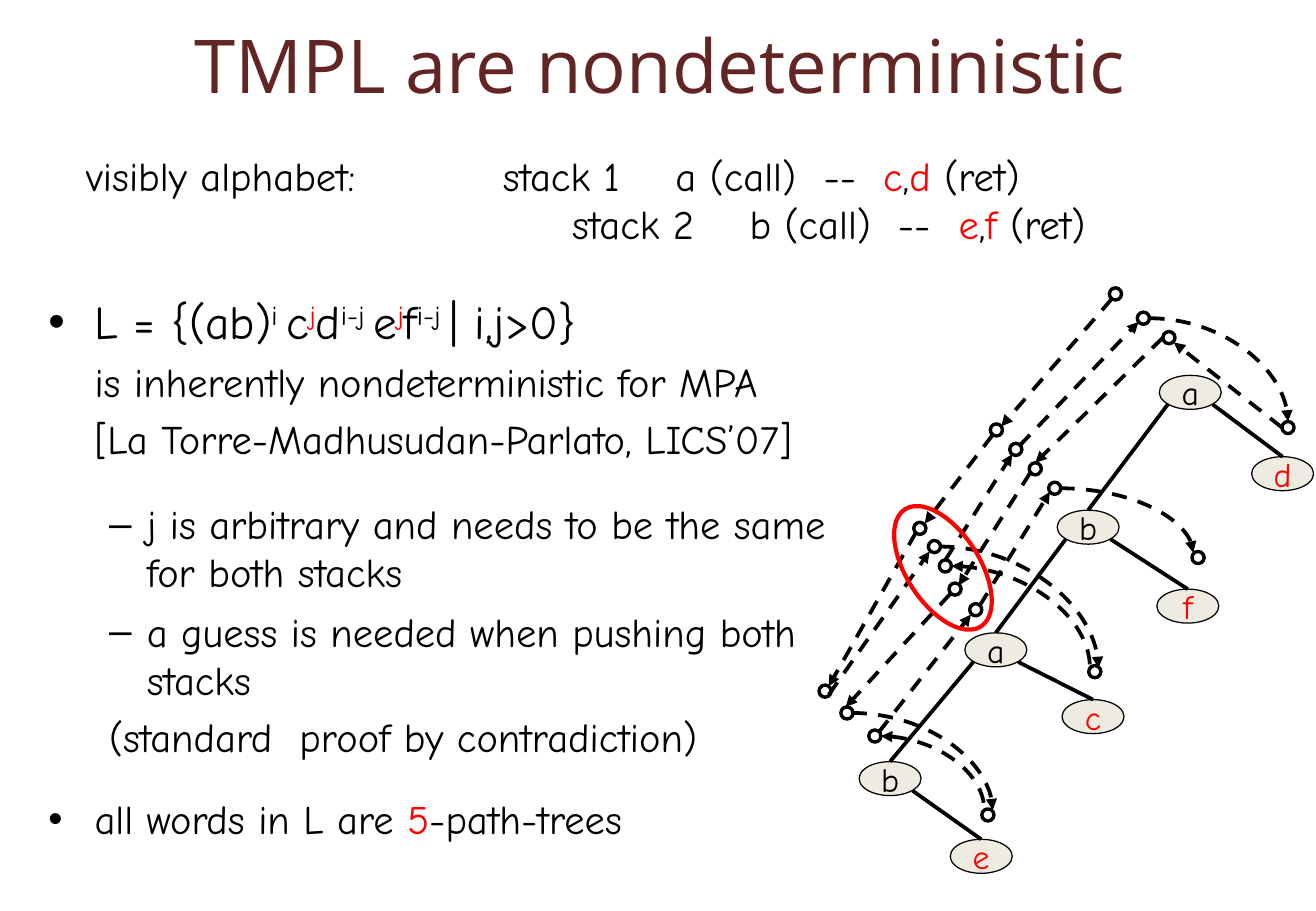
from lxml import etree
from pptx import Presentation
from pptx.dml.color import RGBColor
from pptx.enum.dml import MSO_LINE
from pptx.enum.shapes import MSO_CONNECTOR, MSO_SHAPE
from pptx.enum.text import MSO_ANCHOR, PP_ALIGN
from pptx.oxml.ns import qn
from pptx.util import Inches, Pt

STRAIGHT, CURVE = MSO_CONNECTOR.STRAIGHT, MSO_CONNECTOR.CURVE
OVAL, NODE = MSO_SHAPE.OVAL, MSO_SHAPE.FLOWCHART_CONNECTOR
DASH = MSO_LINE.DASH
CENTER, MIDDLE = PP_ALIGN.CENTER, MSO_ANCHOR.MIDDLE
COLORS = {"title": "632523", "ink": "000000", "red": "FF0000",
          "node": "EEECE1", "white": "FFFFFF"}


def add_run(paragraph, text, size=24, color="ink", font="Comic Neue", raised=False):
    run = paragraph.add_run()
    run.text = text
    run.font.size = Pt(size)
    run.font.name = font
    run.font.color.rgb = RGBColor.from_string(COLORS[color])
    if raised:
        run._r.get_or_add_rPr().set("baseline", "30000")


def add_line(start, end, kind=STRAIGHT, dashed=False, arrow=None):
    line = slide.shapes.add_connector(kind, *map(Inches, start + end))
    line.line.width = Pt(2.25)
    line.line.color.rgb = RGBColor.from_string(COLORS["ink"])
    if dashed:
        line.line.dash_style = DASH
    if arrow:
        etree.SubElement(line.line._get_or_add_ln(), qn(f"a:{arrow}"), type="triangle")
    if kind == CURVE:
        # a quarter bend that leaves level and arrives upright
        line._element.spPr.find(qn("a:prstGeom")).set("prst", "curvedConnector2")
    etree.SubElement(line._element.spPr, qn("a:effectLst"))


prs = Presentation()
prs.slide_width, prs.slide_height = Inches(10.83), Inches(7.5)
slide = prs.slides.add_slide(prs.slide_layouts[6])

# Title
title = slide.shapes.add_textbox(*map(Inches, (0.56, 0.06, 9.75, 0.93))).text_frame
title.word_wrap = True
title.vertical_anchor = MIDDLE
title.paragraphs[0].alignment = CENTER
add_run(title.paragraphs[0], "TMPL are nondeterministic", size=44, color="title",
        font="Open Sans")

# Claims: runs are (text, colour, raised); bullet, margin, indent, space before, size
claims = [
    ([("L = {(ab)", "ink", False), ("i ", "ink", True), ("c", "ink", False),
      ("j", "red", True), ("d", "ink", False), ("i-j ", "ink", True),
      ("e", "ink", False), ("j", "red", True), ("f", "ink", False),
      ("i-j ", "ink", True), ("| i,j>0}", "ink", False)], "•", 0.38, -0.38, 0, 28),
    ([("is inherently nondeterministic for MPA", "ink", False)], None, 0.38, 0, 4.8, 24),
    ([("[La Torre-Madhusudan-Parlato, LICS’07]", "ink", False)], None, 0.38, 0, 4.8, 24),
    ([("j is arbitrary and needs to be the same for both stacks", "ink", False)],
     "–", 0.81, -0.31, 21.5, 24),
    ([("a guess is needed when pushing both stacks", "ink", False)],
     "–", 0.81, -0.31, 6.2, 24),
    ([("(standard  proof by contradiction)", "ink", False)], None, 0.5, 0, 4.8, 24),
    ([("all words in L are ", "ink", False), ("5", "red", False),
      ("-path-trees", "ink", False)], "•", 0.38, -0.38, 19.8, 24),
]
body = slide.shapes.add_textbox(*map(Inches, (0.3, 2.36, 6.93, 4.7))).text_frame
body.word_wrap = True
for number, (runs, bullet, margin, indent, before, size) in enumerate(claims):
    claim = body.add_paragraph() if number else body.paragraphs[0]
    claim.space_before = Pt(before)
    props = claim._p.get_or_add_pPr()
    props.set("marL", str(Inches(margin)))
    props.set("indent", str(Inches(indent)))
    if bullet:
        etree.SubElement(props, qn("a:buFont"), typeface="Arial")
        etree.SubElement(props, qn("a:buChar"), char=bullet)
    for text, color, raised in runs:
        add_run(claim, text, size=size, color=color, raised=raised)

# Visibly alphabet, one row per stack
stacks = [("visibly alphabet:\tstack 1\ta (call)\t--\t", "c", "d", (3.43, 4.85, 6.07, 6.56)),
          ("\tstack 2\tb (call)\t--\t", "e", "f", (4.0, 5.46, 6.68, 7.18))]
alphabet = slide.shapes.add_textbox(*map(Inches, (0.61, 1.19, 8.49, 0.91))).text_frame
alphabet.word_wrap = True
for number, (call, first, second, stops) in enumerate(stacks):
    row = alphabet.add_paragraph() if number else alphabet.paragraphs[0]
    tabs = etree.SubElement(row._p.get_or_add_pPr(), qn("a:tabLst"))
    for stop in stops:
        etree.SubElement(tabs, qn("a:tab"), pos=str(Inches(stop)), algn="l")
    for text, color in [(call, "ink"), (first, "red"), (",", "ink"),
                        (second, "red"), (" (ret)", "ink")]:
        add_run(row, text, color=color)

# Tree: each call has its return as right child and the next call as left child
calls = [("a", 9.54, 3.09), ("b", 8.7, 4.2), ("a", 7.94, 5.21), ("b", 7.07, 6.27)]
returns = [("d", 10.3, 3.76), ("f", 9.52, 4.85), ("c", 8.74, 5.76), ("e", 7.82, 6.91)]
NODE_W, NODE_H = 0.51, 0.28
for color, nodes in (("ink", calls), ("red", returns)):
    for letter, x, y in nodes:
        node = slide.shapes.add_shape(NODE, *map(Inches, (x, y, NODE_W, NODE_H)))
        node.shadow.inherit = False
        node.fill.solid()
        node.fill.fore_color.rgb = RGBColor.from_string(COLORS["node"])
        node.line.color.rgb = RGBColor.from_string(COLORS["ink"])
        node.line.width = Pt(0.75)
        node.text_frame.word_wrap = False
        node.text_frame.vertical_anchor = MIDDLE
        node.text_frame.paragraphs[0].alignment = CENTER
        add_run(node.text_frame.paragraphs[0], letter, size=20, color=color)

for offset, parents, children in ((0.07, calls, calls[1:]), (0.44, calls, returns)):
    for (_, px, py), (_, cx, cy) in zip(parents, children):
        add_line((px + offset, py + 0.24), (cx + NODE_W / 2, cy))

# Stops of the path through the tree
stops = [(9.13, 2.37), (9.36, 2.57), (9.57, 2.73), (10.55, 3.47), (8.15, 3.49),
         (8.31, 3.65), (8.47, 3.81), (8.63, 3.97), (7.52, 4.3), (7.64, 4.45),
         (7.73, 4.61), (7.81, 4.8), (7.98, 4.97), (9.81, 4.54), (8.96, 5.48),
         (6.74, 5.64), (6.92, 5.82), (7.15, 6.01), (8.08, 6.66)]
for x, y in stops:
    stop = slide.shapes.add_shape(OVAL, *map(Inches, (x, y, 0.1, 0.1)))
    stop.shadow.inherit = False
    stop.fill.solid()
    stop.fill.fore_color.rgb = RGBColor.from_string(COLORS["white"])
    stop.line.color.rgb = RGBColor.from_string(COLORS["ink"])
    stop.line.width = Pt(2)

# Straight steps of the path
steps = [((9.15, 2.46), (8.24, 3.51)), ((8.17, 3.58), (7.61, 4.31)),
         ((7.54, 4.38), (6.82, 5.65)), ((6.82, 5.72), (7.65, 4.54)),
         ((7.78, 4.61), (8.33, 3.74)), ((8.39, 3.67), (9.37, 2.65)),
         ((10.55, 3.52), (9.66, 2.82)), ((9.57, 2.78), (8.52, 3.81)),
         ((8.48, 3.89), (7.89, 4.82)), ((7.82, 4.89), (6.96, 5.82)),
         ((7.23, 6.03), (7.99, 5.06)), ((8.06, 4.99), (8.64, 4.05))]
for start, end in steps:
    add_line(start, end, dashed=True, arrow="tailEnd")

# Curved steps to the returns, and back from c and e
bends = [((9.46, 2.62), (10.6, 3.47), "tailEnd"), ((8.72, 4.02), (9.82, 4.55), "tailEnd"),
         ((7.73, 4.5), (9.04, 5.5), "tailEnd"), ((7.83, 4.66), (8.97, 5.5), "headEnd"),
         ((7.01, 5.87), (8.17, 6.67), "tailEnd"), ((7.25, 6.06), (8.1, 6.67), "headEnd")]
for left, right, arrow in bends:
    add_line(left, right, kind=CURVE, dashed=True, arrow=arrow)

# Ring around the five visits
ring = slide.shapes.add_shape(OVAL, *map(Inches, (7.46, 4.1, 0.6, 1.15)))
ring.shadow.inherit = False
ring.rotation = 327
ring.fill.background()
ring.line.color.rgb = RGBColor.from_string(COLORS["red"])
ring.line.width = Pt(2.5)

prs.save("out.pptx")
